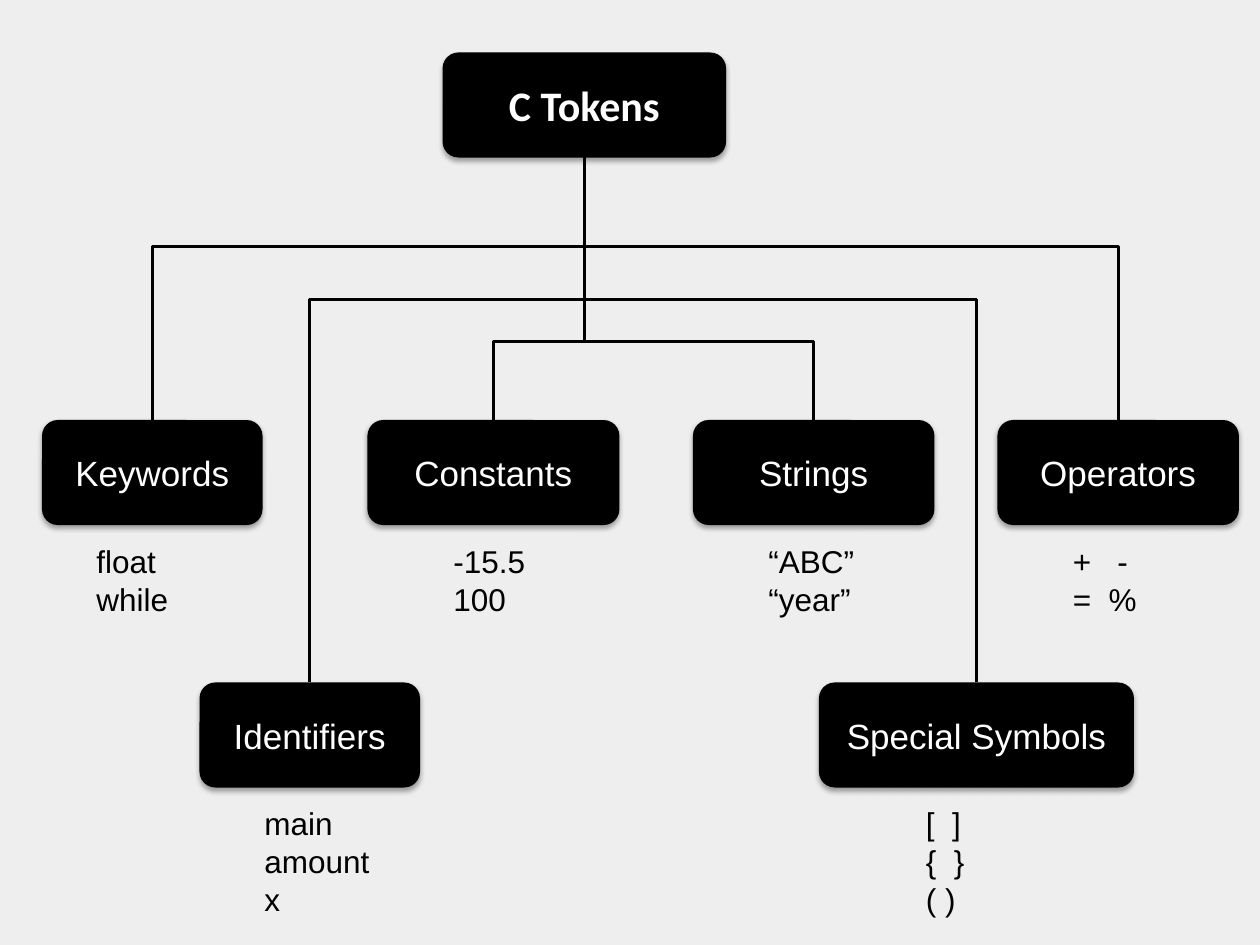
from lxml import etree
from pptx import Presentation
from pptx.dml.color import RGBColor as RGB
from pptx.enum.shapes import MSO_CONNECTOR as CXN, MSO_SHAPE as SHAPE
from pptx.enum.text import MSO_ANCHOR as ANCHOR, MSO_AUTO_SIZE as AUTO, PP_ALIGN as ALIGN
from pptx.oxml import parse_xml
from pptx.oxml.ns import nsdecls, qn
from pptx.util import Inches, Pt

COLORS = {"bg": "EEEEEE", "ink": "000000", "light": "FFFFFF"}
COLS, BOX_H = 120, 10
ROOT_X, ROOT_Y, ROOT_W = 42.15, 5, 27
ROOT_BOTTOM = ROOT_Y + BOX_H
ROW_1, ROW_2 = 40, 65
SHADOW = (
    f'<a:effectLst {nsdecls("a")}><a:outerShdw blurRad="{Pt(3.1)}" dist="{Pt(1.8)}" '
    f'dir="5400000" rotWithShape="0"><a:srgbClr val="{COLORS["ink"]}">'
    '<a:alpha val="35000"/></a:srgbClr></a:outerShdw></a:effectLst>'
)

BRANCHES = [
    ("Keywords", 4, ROW_1, 21, 23.5, 8, 11, ["float", "while"]),
    ("Identifiers", 19, ROW_2, 21, 28.5, 24, 16, ["main", "amount", "x"]),
    ("Constants", 35, ROW_1, 24, 32.5, 42, 11, ["-15.5", "100"]),
    ("Strings", 66, ROW_1, 23, 32.5, 72, 11, ["“ABC”", "“year”"]),
    ("Special Symbols", 78, ROW_2, 30, 28.5, 87, 11, ["[  ]", "{  }", "( )"]),
    ("Operators", 95, ROW_1, 23, 23.5, 101, 11, ["+   -", "=  %"]),
]

prs = Presentation()
prs.slide_width, prs.slide_height = Inches(10), Inches(7.5)
unit = prs.slide_width / COLS
s = prs.slides.add_slide(prs.slide_layouts[6])
s.background.fill.solid()
s.background.fill.fore_color.rgb = RGB.from_string(COLORS["bg"])


def write(sp, lines, size, color, align, font="Arial", bold=False):
    tf = sp.text_frame
    tf.word_wrap = True
    tf.text = "\n".join(lines)
    for p in tf.paragraphs:
        p.alignment = align
        for r in p.runs:
            r.font.name, r.font.size, r.font.bold = font, Pt(size), bold
            r.font.color.rgb = RGB.from_string(COLORS[color])


def add_box(label, x, y, w, size=20, font="Arial", bold=False):
    sp = s.shapes.add_shape(SHAPE.ROUNDED_RECTANGLE, *(int(v * unit) for v in (x, y, w, BOX_H)))
    sp.adjustments[0] = 0.15
    sp.fill.solid()
    sp.fill.fore_color.rgb = RGB.from_string(COLORS["ink"])
    sp.line.fill.background()
    sp._element.spPr.append(parse_xml(SHADOW))
    sp.text_frame.vertical_anchor = ANCHOR.MIDDLE
    write(sp, [label], size, "light", ALIGN.CENTER, font, bold)
    return sp


root = add_box("C Tokens", ROOT_X, ROOT_Y, ROOT_W, 24, "Calibri", True)
root_mid = ROOT_X + ROOT_W / 2

for label, x, y, w, bus, note_x, note_w, lines in BRANCHES:
    box = add_box(label, x, y, w)

    mid = x + w / 2
    drop, span = y - ROOT_BOTTOM, abs(mid - root_mid)
    c = s.shapes.add_connector(CXN.ELBOW, 0, 0, 0, 0)
    c.begin_connect(root, 2)
    c.end_connect(box, 0)
    c.left = int(((mid + root_mid) / 2 - drop / 2) * unit)
    c.top = int(((y + ROOT_BOTTOM) / 2 - span / 2) * unit)
    c.width, c.height = int(drop * unit), int(span * unit)
    c.line.width = Pt(1.5)
    c.line.color.rgb = RGB.from_string(COLORS["ink"])
    spPr = c._element.spPr
    xfrm = spPr.find(qn("a:xfrm"))
    for flip in ("flipH", "flipV"):
        xfrm.attrib.pop(flip, None)
    xfrm.set("rot", "5400000" if mid < root_mid else "16200000")
    if mid > root_mid:
        xfrm.set("flipH", "1")
    share = round((bus - ROOT_BOTTOM) / drop * 100000)
    guides = spPr.find(qn("a:prstGeom")).find(qn("a:avLst"))
    etree.SubElement(guides, qn("a:gd"), name="adj1", fmla=f"val {share}")
    etree.SubElement(spPr, qn("a:effectLst"))

    note_y = y + BOX_H + 1
    note_h = 1.3 + 3.6 * len(lines)
    note = s.shapes.add_textbox(*(int(v * unit) for v in (note_x, note_y, note_w, note_h)))
    write(note, lines, 18, "ink", ALIGN.LEFT)
    note.text_frame.auto_size = AUTO.SHAPE_TO_FIT_TEXT

prs.save("out.pptx")
